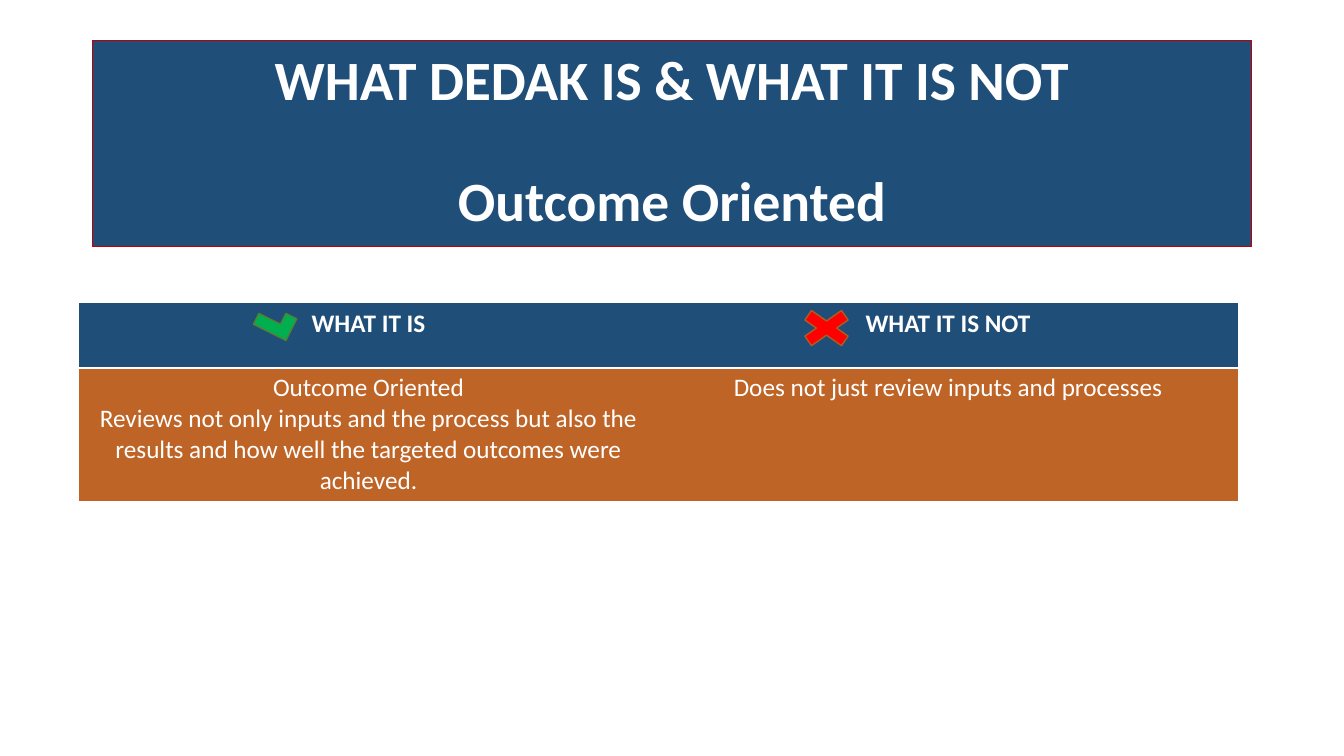
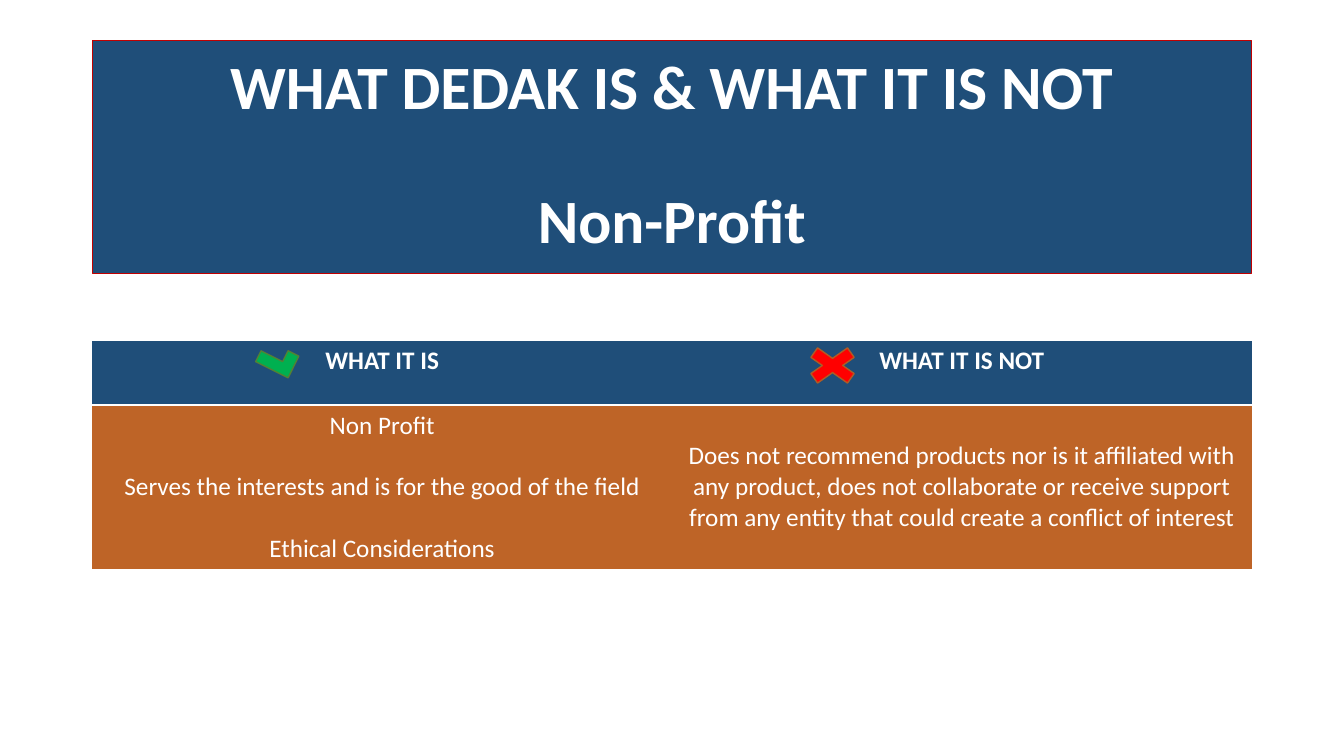
from dataclasses import dataclass

from lxml.etree import SubElement
from pptx import Presentation
from pptx.dml.color import RGBColor as RGB
from pptx.enum.shapes import MSO_SHAPE as SHAPE
from pptx.enum.text import MSO_ANCHOR as ANCHOR, PP_ALIGN as ALIGN
from pptx.oxml.ns import qn
from pptx.util import Pt


@dataclass(frozen=True)
class Theme:
    font: str = "Calibri"
    body_size: float = 18
    line_height: float = 22
    navy: str = "1F4E79"
    rust: str = "BE6427"
    white: str = "FFFFFF"
    title_line: str = "C00000"
    check: tuple = ("00B050", "538035")
    cross: tuple = ("FF0000", "AF5C24")
    no_grid_style: str = "{2D5ABB26-0587-4C30-8999-92F81FD0307C}"


T = Theme()
BAND_LEFT, BAND_TOP, BAND_WIDTH = 66, 28.8, 828
HEADER_HEIGHT = 46
HEADERS = ("WHAT IT IS", "WHAT IT IS NOT")
CHECK_SIZE, CROSS_SIZE = (17.3, 25.9), (50.4, 35.3)
CHECK_ANGLE = 296.5

SLIDES = [
    dict(
        topic="Outcome Oriented", title_size=39.6, title_height=147,
        table_at=(56.2, 216.7), body_height=95, check_left=187.9, cross_left=565.2,
        body=(
            ["Outcome Oriented",
             "Reviews not only inputs and the process but also the results and "
             "how well the targeted outcomes were achieved."],
            ["Does not just review inputs and processes"],
        ),
    ),
    dict(
        topic="Non-Profit", title_size=44, title_height=166.3,
        table_at=(BAND_LEFT, 243.4), body_height=117, check_left=189.4, cross_left=569.5,
        body=(
            ["Non Profit", "Serves the interests and is for the good of the field",
             "Ethical Considerations"],
            ["Does not recommend products nor is it affiliated with any product, "
             "does not collaborate or receive support from any entity that could "
             "create a conflict of interest"],
        ),
        body_gap=T.line_height, right_drop=T.line_height,
    ),
]


def write(tf, lines, size, bold=False, gap=0, spacing=1.0):
    """Write centred white paragraphs, with the gap between them in points."""
    tf.word_wrap = True
    for i, line in enumerate(lines):
        p = tf.paragraphs[0] if i == 0 else tf.add_paragraph()
        formats = dict(alignment=ALIGN.CENTER, line_spacing=spacing,
                       space_before=Pt(gap if i else 0))
        for name, value in formats.items():
            setattr(p, name, value)
        r = p.add_run()
        r.text = line
        for name, value in dict(name=T.font, size=Pt(size), bold=bold).items():
            setattr(r.font, name, value)
        r.font.color.rgb = RGB.from_string(T.white)


def add_shape(s, kind, left, top, size, fill, line, weight=1, angle=0):
    sp = s.shapes.add_shape(kind, Pt(left), Pt(top), *map(Pt, size))
    sp.shadow.inherit = False
    sp.rotation = angle
    sp.fill.solid()
    sp.fill.fore_color.rgb = RGB.from_string(fill)
    sp.line.color.rgb = RGB.from_string(line)
    sp.line.width = Pt(weight)
    return sp


def add_title(s, topic, size, height):
    sp = add_shape(s, SHAPE.RECTANGLE, BAND_LEFT, BAND_TOP, (BAND_WIDTH, height),
                   T.navy, T.title_line, 0.75)
    sp.text_frame.vertical_anchor = ANCHOR.MIDDLE
    write(sp.text_frame, ["WHAT DEDAK IS & WHAT IT IS NOT", topic], size,
          bold=True, gap=1.1 * size, spacing=0.9)


def fill_cell(cell, color):
    cell.fill.solid()
    cell.fill.fore_color.rgb = RGB.from_string(color)


def rule_below(cell, color, weight):
    tc_pr = cell._tc.get_or_add_tcPr()
    ln = SubElement(tc_pr, qn("a:lnB"), w=str(Pt(weight)))
    fill = SubElement(ln, qn("a:solidFill"))
    SubElement(fill, qn("a:srgbClr"), val=color)
    tc_pr.insert(0, ln)


def add_comparison(s, at, body, body_height, gap, right_drop):
    """Add the two-column table; right_drop lowers the text of the right cell."""
    heights = (HEADER_HEIGHT, body_height)
    table = s.shapes.add_table(2, 2, *map(Pt, (*at, BAND_WIDTH, sum(heights)))).table
    table.horz_banding = False
    table._tbl.tblPr.find(qn("a:tableStyleId")).text = T.no_grid_style
    for row, height in zip(table.rows, heights):
        row.height = Pt(height)
    for col, (header, lines) in enumerate(zip(HEADERS, body)):
        head, cell = table.cell(0, col), table.cell(1, col)
        fill_cell(head, T.navy)
        rule_below(head, T.white, 2)
        write(head.text_frame, [header], T.body_size, bold=True)
        fill_cell(cell, T.rust)
        write(cell.text_frame, lines, T.body_size, gap=gap)
    table.cell(1, 1).margin_top = Pt(3.6 + right_drop)


def add_slide(prs, topic, title_size, title_height, table_at, body_height,
              check_left, cross_left, body, body_gap=0, right_drop=0):
    s = prs.slides.add_slide(prs.slide_layouts[6])
    add_title(s, topic, title_size, title_height)
    add_comparison(s, table_at, body, body_height, body_gap, right_drop)
    top = table_at[1]
    add_shape(s, SHAPE.CORNER, check_left, top, CHECK_SIZE, *T.check, angle=CHECK_ANGLE)
    add_shape(s, SHAPE.MATH_MULTIPLY, cross_left, top, CROSS_SIZE, *T.cross)


def main():
    prs = Presentation()
    prs.slide_width, prs.slide_height = Pt(960), Pt(540)
    for content in SLIDES:
        add_slide(prs, **content)
    prs.save("out.pptx")


if __name__ == "__main__":
    main()
